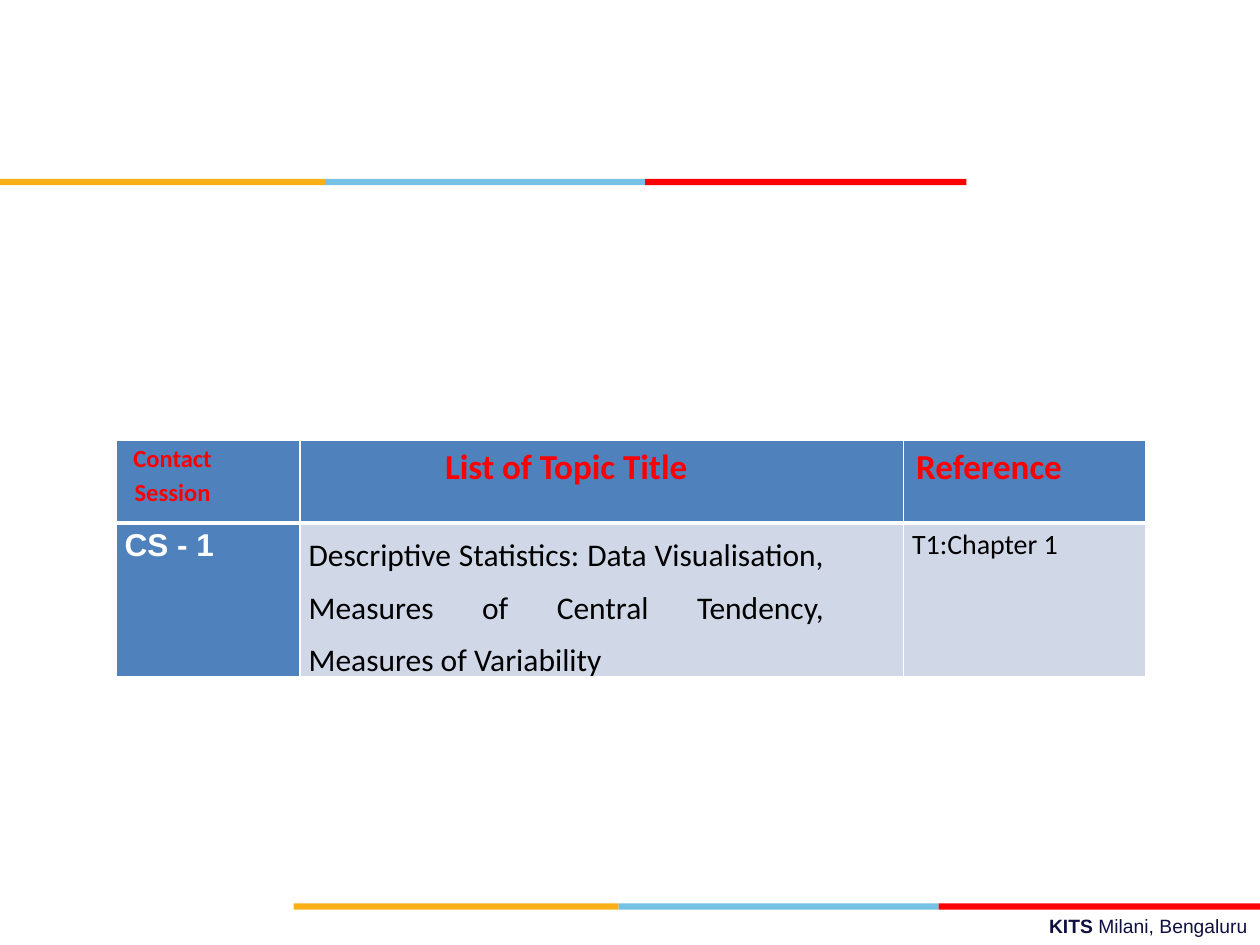
from lxml.etree import SubElement
from pptx import Presentation
from pptx.dml.color import RGBColor
from pptx.enum.shapes import MSO_SHAPE
from pptx.enum.text import PP_ALIGN
from pptx.oxml.ns import qn
from pptx.util import Inches, Pt

RED, WHITE, BLACK, NAVY = "FF0000", "FFFFFF", "000000", "101141"
BLUE, PALE = "4F81BD", "D0D8E8"


def paint(fill, color):
    fill.solid()
    fill.fore_color.rgb = RGBColor.from_string(color)


def add_span(para, text, size, font, color, bold):
    span = para.add_run()
    span.text = text
    span.font.size = Pt(size)
    span.font.name = font
    span.font.bold = bold
    span.font.color.rgb = RGBColor.from_string(color)


def add_stripe(page, left, top):
    """Three-colour rule, starting at left."""
    for color, width in (("FCB017", 2.58), ("76C2E5", 2.54), (RED, 2.55)):
        bar = page.shapes.add_shape(MSO_SHAPE.RECTANGLE, Inches(left), Inches(top),
                                    Inches(width), Inches(0.05))
        bar.shadow.inherit = False
        paint(bar.fill, color)
        bar.line.fill.background()
        left += width


def add_footer(page, left, top, width, height):
    box = page.shapes.add_textbox(Inches(left), Inches(top), Inches(width), Inches(height))
    box.text_frame.word_wrap = True
    para = box.text_frame.paragraphs[0]
    para.alignment = PP_ALIGN.RIGHT
    add_span(para, "KITS ", 11, "Arial", NAVY, True)
    add_span(para, "Milani, Bengaluru", 11, "Arial", NAVY, False)


def set_borders(cell, bottom):
    """White lines; they must be in place before the fill."""
    props = cell._tc.get_or_add_tcPr()
    for side, width in (("L", 1), ("R", 1), ("T", 1), ("B", bottom)):
        line = SubElement(props, qn(f"a:ln{side}"), w=str(Pt(width)))
        solid = SubElement(line, qn("a:solidFill"))
        SubElement(solid, qn("a:srgbClr"), val=WHITE)


def add_schedule(page, left, top, width, height):
    center, start, justify = PP_ALIGN.CENTER, PP_ALIGN.LEFT, PP_ALIGN.JUSTIFY
    topics = ("Descriptive Statistics: Data Visualisation, "
              "Measures of Central Tendency, Measures of Variability")
    # text, size, font, colour, bold, fill, alignment, line spacing, space after
    rows = [
        [("Contact Session", 14, "Calibri", RED, True, BLUE, center, 1.15, 10),
         ("List of Topic Title", 20, "Calibri", RED, True, BLUE, center, 1.15, 10),
         ("Reference", 20, "Calibri", RED, True, BLUE, center, 1.15, 10)],
        [("CS - 1", 18, "Arial", WHITE, True, BLUE, start, 1.15, 10),
         (topics, 18, "Calibri", BLACK, False, PALE, justify, 1.36, 0),
         ("T1:Chapter 1", 16, "Calibri", BLACK, False, PALE, start, 1.15, 10)],
    ]
    table = page.shapes.add_table(2, 3, Inches(left), Inches(top),
                                  Inches(width), Inches(height)).table
    for column, size in zip(table.columns, (1.46, 4.79, 1.92)):
        column.width = Inches(size)
    for row, size in zip(table.rows, (0.66, height - 0.66)):
        row.height = Inches(size)

    for r, row in enumerate(rows):
        for c, (text, size, font, color, bold, fill, align, spacing, after) in enumerate(row):
            cell = table.cell(r, c)
            set_borders(cell, 3 if r == 0 else 1)
            paint(cell.fill, fill)
            cell.margin_left, cell.margin_right = Inches(0.07), Inches(0.63)
            cell.margin_top = cell.margin_bottom = 0
            para = cell.text_frame.paragraphs[0]
            para.alignment = align
            para.line_spacing = spacing
            para.space_after = Pt(after)
            add_span(para, text, size, font, color, bold)


def main():
    deck = Presentation()
    deck.slide_width, deck.slide_height = Inches(10), Inches(7.5)
    page = deck.slides.add_slide(deck.slide_layouts[6])
    add_footer(page, 3.58, 7.21, 6.42, 0.29)
    add_stripe(page, 2.33, 7.17)
    add_stripe(page, 0, 1.42)
    add_schedule(page, 0.92, 3.49, 8.17, 1.85)
    deck.save("out.pptx")


if __name__ == "__main__":
    main()
